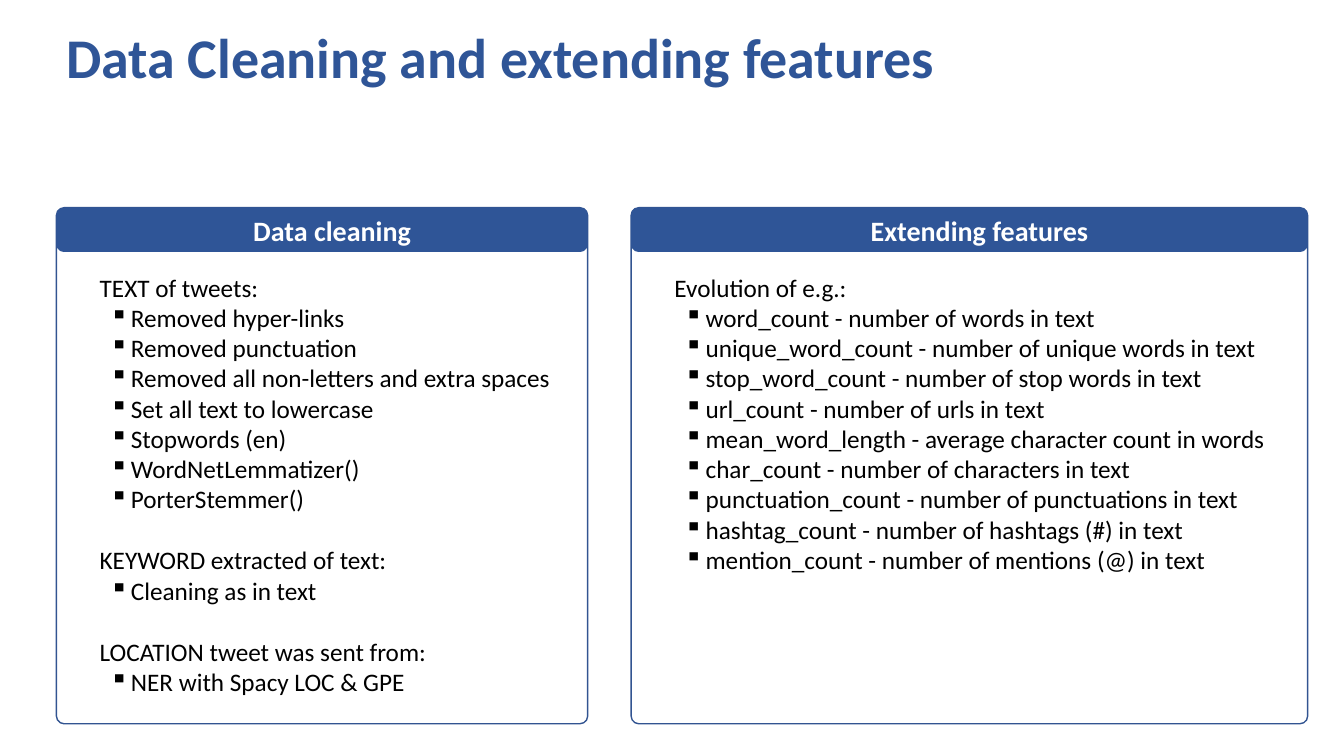
from dataclasses import dataclass

from lxml import etree
from pptx import Presentation
from pptx.dml.color import RGBColor
from pptx.enum.shapes import MSO_SHAPE
from pptx.enum.text import MSO_ANCHOR, MSO_AUTO_SIZE, PP_ALIGN
from pptx.oxml.ns import qn
from pptx.util import Inches, Pt

ROUNDED = MSO_SHAPE.ROUNDED_RECTANGLE
MIDDLE = MSO_ANCHOR.MIDDLE
FIT_SHAPE = MSO_AUTO_SIZE.SHAPE_TO_FIT_TEXT
CENTER = PP_ALIGN.CENTER

BLUE = RGBColor(0x2F, 0x55, 0x97)
OUTLINE = RGBColor(0x32, 0x54, 0x91)
WHITE = RGBColor(0xFF, 0xFF, 0xFF)
BLACK = RGBColor(0, 0, 0)
FONT = "Calibri"

WIDTH, HEIGHT = Inches(13.33), Inches(7.5)
LEFT = 4.2
PANEL_TOP, PANEL_HEIGHT, HEADER_HEIGHT = 27.47, 68.27, 5.87
BODY_INSET, BODY_TOP = 2.48, 35.33
BODY_LINE, BODY_PADDING = 4.07, 1.33


@dataclass(frozen=True)
class Section:
    heading: str
    items: tuple[str, ...]


@dataclass(frozen=True)
class Panel:
    title: str
    left: float
    width: float
    body_width: float
    sections: tuple[Section, ...]


PANELS = (
    Panel("Data cleaning", LEFT, 39.53, 35.33, (
        Section("TEXT of tweets:", (
            "Removed hyper-links",
            "Removed punctuation",
            "Removed all non-letters and extra spaces",
            "Set all text to lowercase",
            "Stopwords (en)",
            "WordNetLemmatizer()",
            "PorterStemmer()",
        )),
        Section("KEYWORD extracted of text:", ("Cleaning as in text",)),
        Section("LOCATION tweet was sent from:", ("NER with Spacy LOC & GPE",)),
    )),
    Panel("Extending features", 46.96, 50.34, 46.59, (
        Section("Evolution of e.g.:", (
            "word_count - number of words in text",
            "unique_word_count - number of unique words in text",
            "stop_word_count - number of stop words in text",
            "url_count - number of urls in text",
            "mean_word_length - average character count in words",
            "char_count - number of characters in text",
            "punctuation_count - number of punctuations in text",
            "hashtag_count - number of hashtags (#) in text",
            "mention_count - number of mentions (@) in text",
        )),
    )),
)


def box(left: float, top: float, width: float, height: float) -> tuple[int, ...]:
    return (int(WIDTH * left / 100), int(HEIGHT * top / 100),
            int(WIDTH * width / 100), int(HEIGHT * height / 100))


def write(p, text: str, size: int, color: RGBColor, bold: bool = False) -> None:
    p.text = text
    p.font.name = FONT
    p.font.size = Pt(size)
    p.font.bold = bold
    p.font.color.rgb = color


def add_bullet(p) -> None:
    pPr = p._p.get_or_add_pPr()
    pPr.set("marL", str(Inches(0.31)))
    pPr.set("indent", str(Inches(-0.21)))
    bullet = etree.Element(qn("a:buChar"), char="▪")
    pPr.insert_element_before(bullet, "a:tabLst", "a:defRPr", "a:extLst")


def add_title(s, text: str) -> None:
    tf = s.shapes.add_textbox(*box(LEFT, 3.33, 88.9, 17.87)).text_frame
    tf.word_wrap = True
    p = tf.paragraphs[0]
    p.line_spacing = 0.9
    write(p, text, 40, BLUE, bold=True)


def add_frame(s, panel: Panel) -> None:
    sp = s.shapes.add_shape(
        ROUNDED, *box(panel.left, PANEL_TOP, panel.width, PANEL_HEIGHT))
    sp.shadow.inherit = False
    sp.adjustments[0] = 0.015
    sp.fill.solid()
    sp.fill.fore_color.rgb = WHITE
    color = sp.fill._xPr.find(qn("a:solidFill"))[0]
    etree.SubElement(color, qn("a:alpha"), val="50000")
    sp.line.color.rgb = OUTLINE
    sp.line.width = Pt(1)


def add_header(s, panel: Panel) -> None:
    sp = s.shapes.add_shape(
        ROUNDED, *box(panel.left, PANEL_TOP, panel.width, HEADER_HEIGHT))
    sp.shadow.inherit = False
    sp.fill.solid()
    sp.fill.fore_color.rgb = BLUE
    sp.line.fill.background()
    tf = sp.text_frame
    tf.margin_left = Inches(0.2)
    tf.margin_top = tf.margin_right = tf.margin_bottom = 0
    tf.vertical_anchor = MIDDLE
    p = tf.paragraphs[0]
    p.alignment = CENTER
    write(p, panel.title, 20, WHITE, bold=True)


def add_body(s, panel: Panel) -> None:
    lines = sum(len(section.items) + 2 for section in panel.sections) - 1
    tf = s.shapes.add_textbox(*box(
        panel.left + BODY_INSET, BODY_TOP, panel.body_width,
        lines * BODY_LINE + BODY_PADDING)).text_frame
    tf.word_wrap = True
    tf.auto_size = FIT_SHAPE
    for number, section in enumerate(panel.sections):
        p = tf.add_paragraph() if number else tf.paragraphs[0]
        write(p, section.heading, 18, BLACK)
        if number:
            p.space_before = Pt(22)
        for item in section.items:
            p = tf.add_paragraph()
            write(p, item, 18, BLACK)
            add_bullet(p)


def main() -> None:
    prs = Presentation()
    prs.slide_width, prs.slide_height = WIDTH, HEIGHT
    s = prs.slides.add_slide(prs.slide_layouts[6])
    add_title(s, "Data Cleaning and extending features")
    for panel in PANELS:
        add_frame(s, panel)
        add_header(s, panel)
        add_body(s, panel)
    prs.save("out.pptx")


if __name__ == "__main__":
    main()
